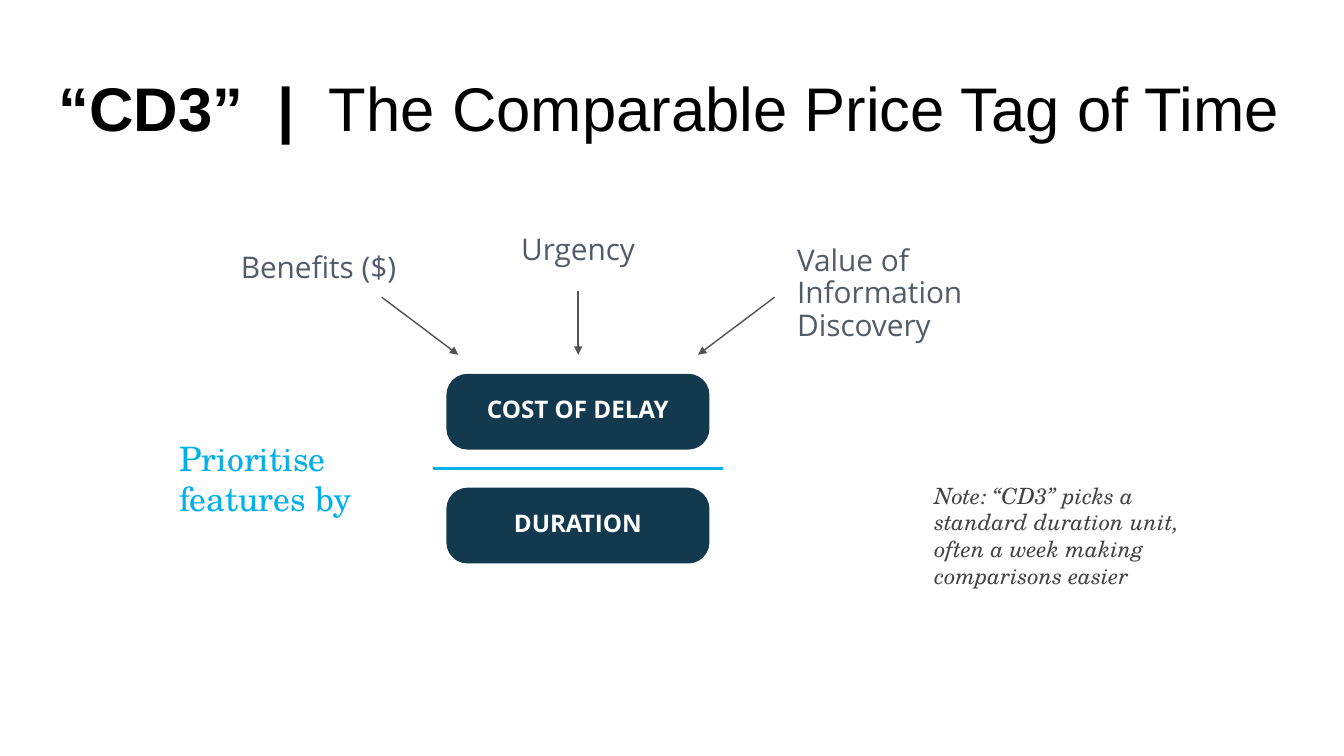
"""Builds the CD3 slide: cost of delay divided by duration."""
from lxml.etree import SubElement
from pptx import Presentation
from pptx.dml.color import RGBColor
from pptx.enum.shapes import MSO_CONNECTOR, MSO_SHAPE
from pptx.enum.text import MSO_ANCHOR, MSO_AUTO_SIZE, PP_ALIGN
from pptx.oxml.ns import qn
from pptx.util import Cm, Pt

BLACK = RGBColor(0x00, 0x00, 0x00)
WHITE = RGBColor(0xFF, 0xFF, 0xFF)
NAVY = RGBColor(0x12, 0x39, 0x4D)
CYAN = RGBColor(0x00, 0xB0, 0xEB)
SLATE = RGBColor(0x52, 0x5C, 0x68)
NOTE_GREY = RGBColor(0x43, 0x43, 0x43)
ARROW_GREY = RGBColor(0x53, 0x53, 0x53)
SANS = "Open Sans"
SERIF = "TeX Gyre Schola"


class SlideBuilder:
    """Holds the slide and its style, with a method per kind of element."""

    def __init__(self, slide):
        """Keep the slide that receives the elements."""
        self.slide = slide

    def style_font(self, font, name, size, color, bold=False, italic=False):
        """Apply a complete font style."""
        font.name, font.size = name, Pt(size)
        font.bold, font.italic = bold, italic
        font.color.rgb = color

    def set_frame(self, text_frame, inset, anchor=MSO_ANCHOR.TOP):
        """Set wrapping, insets and anchoring of a text frame."""
        text_frame.auto_size = MSO_AUTO_SIZE.NONE
        text_frame.word_wrap = True
        text_frame.vertical_anchor = anchor
        text_frame.margin_left = text_frame.margin_right = Cm(inset)
        text_frame.margin_top = text_frame.margin_bottom = Cm(inset)

    def title(self, lead, rest):
        """Fill the title with a bold lead, a bar and plain text."""
        title = self.slide.shapes.title
        title.left, title.top = Cm(1.14), Cm(1.65)
        title.width, title.height = Cm(31.55), Cm(2.13)
        self.set_frame(title.text_frame, 0.33)
        paragraph = title.text_frame.paragraphs[0]
        paragraph.alignment = PP_ALIGN.LEFT
        paragraph.line_spacing = 0.9
        for text in (lead, " ", "|", " ", rest):
            run = paragraph.add_run()
            run.text = text
            self.style_font(run.font, "Arial", 44, BLACK, bold=text != rest)
            if text == " ":
                run.font._element.set("spc", "1220")

    def text(self, text, left, top, width, height, name, size, color,
             inset=0.18, spacing=1.0, align=PP_ALIGN.LEFT, italic=False):
        """Add a wrapped text box."""
        box = self.slide.shapes.add_textbox(Cm(left), Cm(top), Cm(width), Cm(height))
        self.set_frame(box.text_frame, inset)
        box.text_frame.text = text
        paragraph = box.text_frame.paragraphs[0]
        paragraph.alignment = align
        paragraph.line_spacing = spacing
        self.style_font(paragraph.runs[0].font, name, size, color, italic=italic)

    def pill(self, text, top):
        """Add a rounded box with a bold centred label."""
        shape = self.slide.shapes.add_shape(
            MSO_SHAPE.ROUNDED_RECTANGLE, Cm(11.25), Cm(top), Cm(6.63), Cm(1.91))
        shape.adjustments[0] = 0.28
        shape.shadow.inherit = False
        shape.fill.solid()
        shape.fill.fore_color.rgb = NAVY
        shape.line.fill.background()
        self.set_frame(shape.text_frame, 0.18, MSO_ANCHOR.MIDDLE)
        shape.text_frame.text = text
        paragraph = shape.text_frame.paragraphs[0]
        paragraph.alignment = PP_ALIGN.CENTER
        paragraph.line_spacing = 0.8
        self.style_font(paragraph.runs[0].font, SANS, 17.3, WHITE, bold=True)

    def line(self, start, end, color, width, arrow=False):
        """Add a straight line, with an arrowhead at its end if asked."""
        connector = self.slide.shapes.add_connector(
            MSO_CONNECTOR.STRAIGHT, *(Cm(value) for value in (*start, *end)))
        connector.line.color.rgb = color
        connector.line.width = Pt(width)
        if arrow:
            SubElement(connector.line._get_or_add_ln(), qn("a:tailEnd"), type="triangle")
        SubElement(connector._element.spPr, qn("a:effectLst"))


def main():
    """Build and save the slide."""
    presentation = Presentation()
    presentation.slide_width, presentation.slide_height = Cm(33.87), Cm(19.05)
    builder = SlideBuilder(presentation.slides.add_slide(presentation.slide_layouts[5]))

    builder.title("“CD3”", "The Comparable Price Tag of Time")
    builder.text("Note: “CD3” picks a standard duration unit, often a week making "
                 "comparisons easier", 23.22, 11.81, 7.54, 3.15, SERIF, 16,
                 NOTE_GREY, inset=0.33, italic=True)
    builder.text("Prioritise features by", 4.34, 10.85, 5.82, 1.45, SERIF, 24, CYAN)

    for label, top in (("COST OF DELAY", 9.42), ("DURATION", 12.29)):
        builder.pill(label, top)
    builder.line((10.9, 11.81), (18.21, 11.81), CYAN, 2)

    center = 14.57
    drivers = (
        ("Benefits ($)", 5.89, 6.2, 5.33, PP_ALIGN.LEFT, -1, 7.49),
        ("Urgency", 11.38, 5.74, 6.38, PP_ALIGN.CENTER, 0, 7.34),
        ("Value of Information Discovery", 19.91, 6.02, 5.61, PP_ALIGN.LEFT, 1, 7.49),
    )
    for label, left, top, width, align, side, arrow_top in drivers:
        builder.text(label, left, top, width, 1.73, SANS, 21.3, SLATE,
                     spacing=0.9, align=align)
        builder.line((center + side * 4.95, arrow_top), (center + side * 3.02, 8.94),
                     ARROW_GREY, 1, arrow=True)

    presentation.save("out.pptx")


if __name__ == "__main__":
    main()
